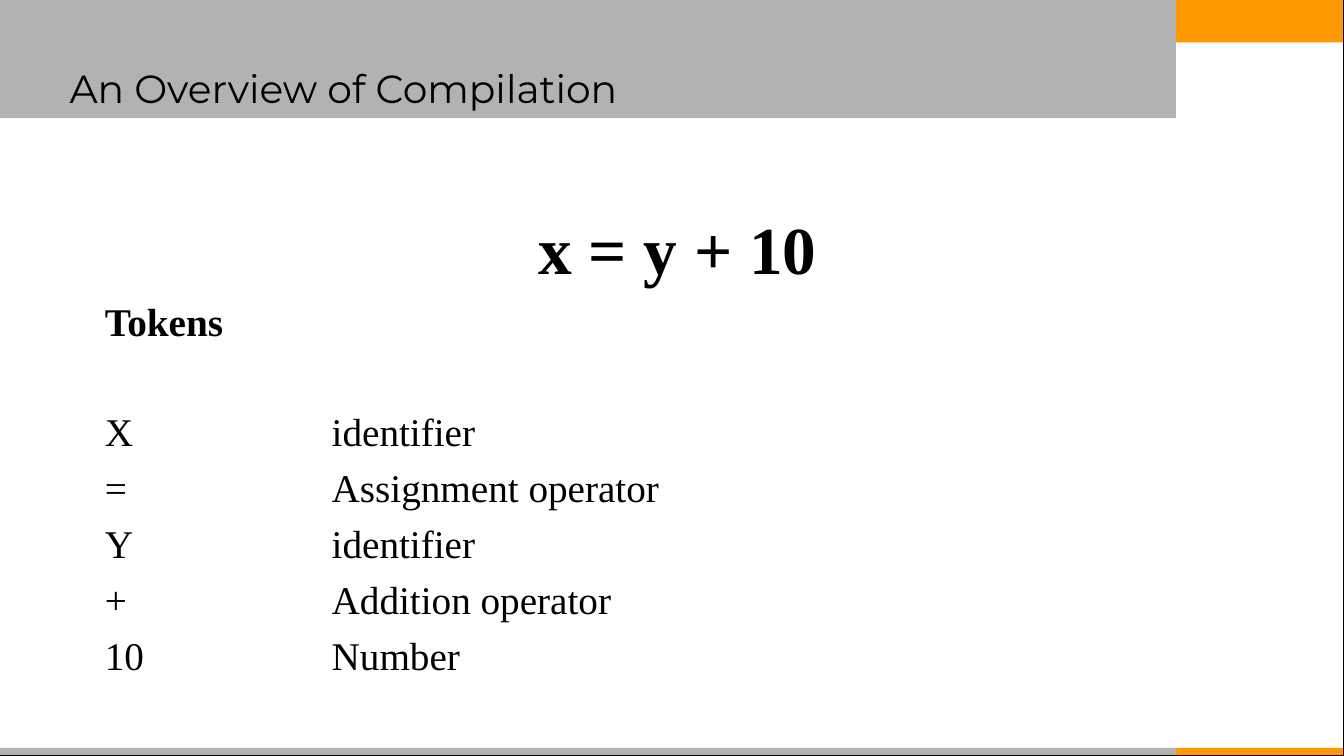
import pptx
import pptx.util
import pptx.dml.color
import pptx.enum.shapes
import pptx.enum.text
from lxml import etree

TITLE = "An Overview of Compilation"
STATEMENT = "x = y + 10"
TOKENS_HEADING = "Tokens"
TOKENS = [
    ("X", "identifier"),
    ("=", "Assignment operator"),
    ("Y", "identifier"),
    ("+", "Addition operator"),
    ("10", "Number"),
]
COLORS = {"grey": "B2B2B4", "orange": "FF9900", "ink": "000000"}
TITLE_FONT, BODY_FONT = "Montserrat", "Times New Roman"

WIDTH, HEIGHT = 13.33, 7.5
SPLIT = WIDTH * 7 / 8
FOOTER = 0.08
BANDS = [  # left, top, width, height, colour
    (SPLIT, 0, WIDTH - SPLIT, 0.42, "orange"),
    (0, HEIGHT - FOOTER, SPLIT, FOOTER, "grey"),
    (SPLIT, HEIGHT - FOOTER, WIDTH - SPLIT, FOOTER, "orange"),
    (0, 0, SPLIT, 1.17, "grey"),
]
TOKEN_TAB = 2.25
LINE_GAP = 6.4
TOKEN_LINE = 38.6

Inches, Pt = pptx.util.Inches, pptx.util.Pt
ALIGN, ANCHOR = pptx.enum.text.PP_ALIGN, pptx.enum.text.MSO_ANCHOR


def rgb(name):
    return pptx.dml.color.RGBColor.from_string(COLORS[name])


def add_rectangle(slide, left, top, width, height):
    rectangle = slide.shapes.add_shape(
        pptx.enum.shapes.MSO_SHAPE.RECTANGLE,
        *map(Inches, (left, top, width, height)))
    rectangle.shadow.inherit = False
    return rectangle


def set_insets(frame, left):
    frame.margin_left = frame.margin_right = Inches(left)
    frame.margin_top = frame.margin_bottom = Inches(0.06)
    frame.word_wrap = True


def add_run(paragraph, text, size, font, bold=False):
    run = paragraph.add_run()
    run.text = text
    run.font.size, run.font.name, run.font.bold = Pt(size), font, bold
    run.font.color.rgb = rgb("ink")


def add_tab_stop(paragraph, position):
    properties = paragraph._p.get_or_add_pPr()
    namespace = "{http://schemas.openxmlformats.org/drawingml/2006/main}"
    stops = etree.SubElement(properties, namespace + "tabLst")
    etree.SubElement(stops, namespace + "tab", pos=str(Inches(position)), algn="l")


def main():
    deck = pptx.Presentation()
    deck.slide_width, deck.slide_height = Inches(WIDTH), Inches(HEIGHT)
    slide = deck.slides.add_slide(deck.slide_layouts[5])

    for left, top, width, height, color in BANDS:
        band = add_rectangle(slide, left, top, width, height)
        band.fill.solid()
        band.fill.fore_color.rgb = rgb(color)
        band.line.fill.background()
    border = add_rectangle(slide, 0, 0, WIDTH, HEIGHT)
    border.fill.background()
    border.line.color.rgb, border.line.width = rgb("ink"), Pt(0.75)

    title = slide.shapes.title
    slide.shapes._spTree.append(title._element)  # in front of the bands
    title.left, title.top = Inches(0.59), Inches(0.25)
    title.width, title.height = Inches(12.41), Inches(1.25)
    set_insets(title.text_frame, 0.1)
    title.text_frame.vertical_anchor = ANCHOR.MIDDLE
    heading = title.text_frame.paragraphs[0]
    heading.alignment = ALIGN.LEFT
    add_run(heading, TITLE, 28, TITLE_FONT)

    body = slide.shapes.add_textbox(*map(Inches, (0.98, 2, 11.48, 4.8))).text_frame
    set_insets(body, 0.06)
    statement = body.paragraphs[0]
    statement.alignment = ALIGN.CENTER
    add_run(statement, STATEMENT, 48, BODY_FONT, bold=True)

    tokens_heading = body.add_paragraph()
    tokens_heading.space_before = Pt(LINE_GAP)
    add_run(tokens_heading, TOKENS_HEADING, 28, BODY_FONT, bold=True)

    for row, (token, kind) in enumerate(TOKENS):
        line = body.add_paragraph()
        add_tab_stop(line, TOKEN_TAB)
        line.space_before = Pt(LINE_GAP if row else LINE_GAP + TOKEN_LINE)
        add_run(line, f"{token}\t{kind}", 28, BODY_FONT)

    deck.save("out.pptx")


if __name__ == "__main__":
    main()
